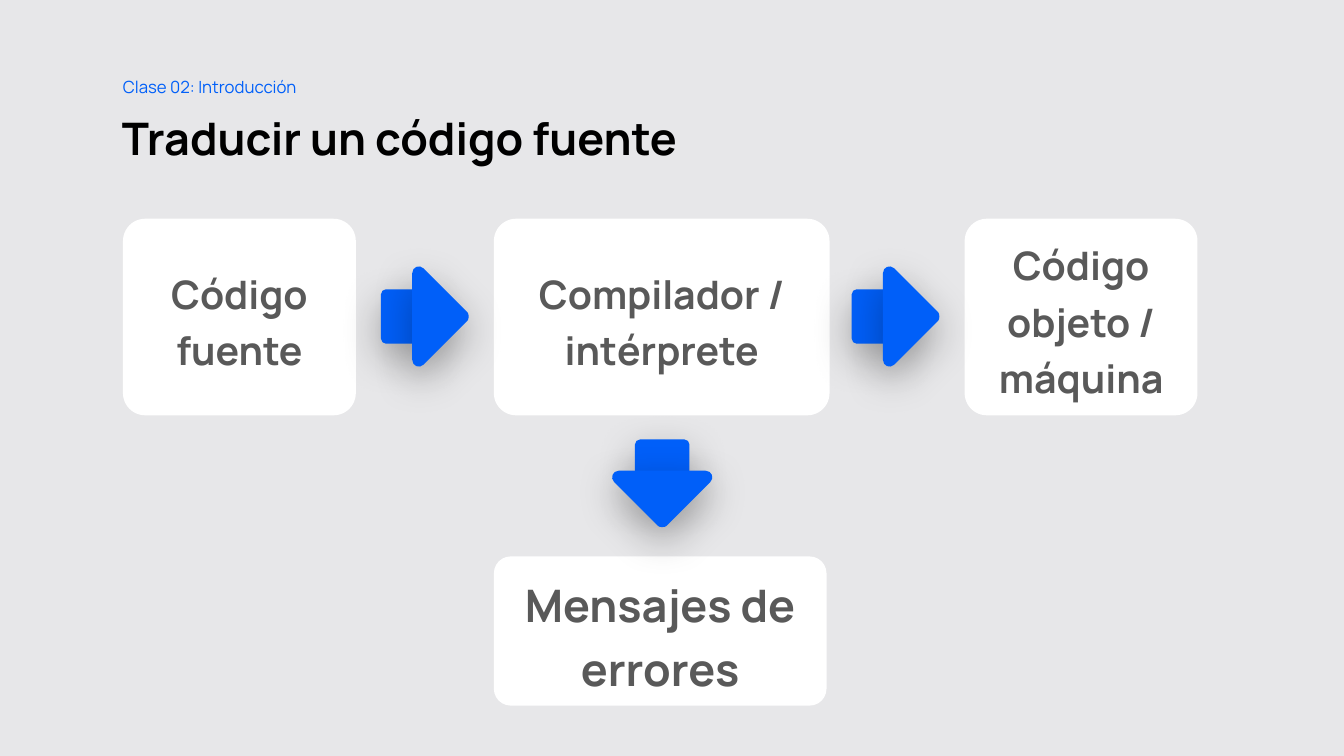
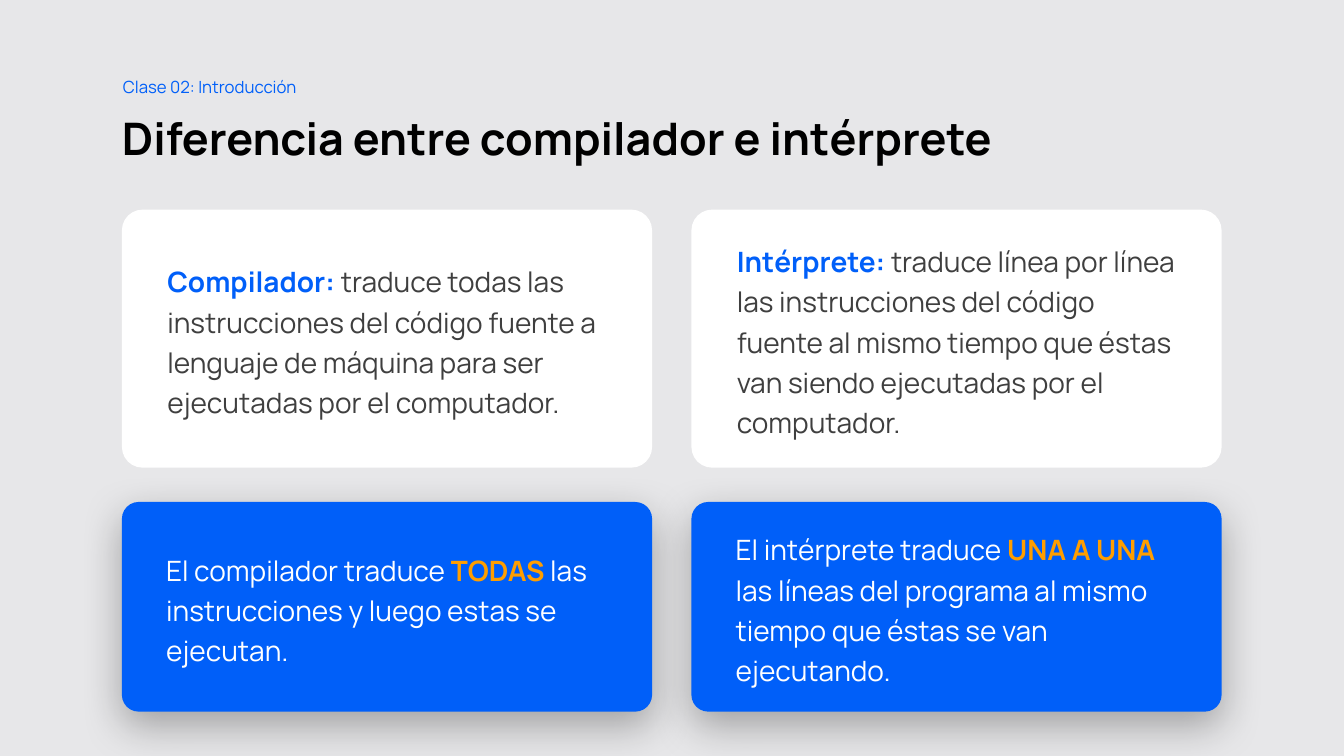
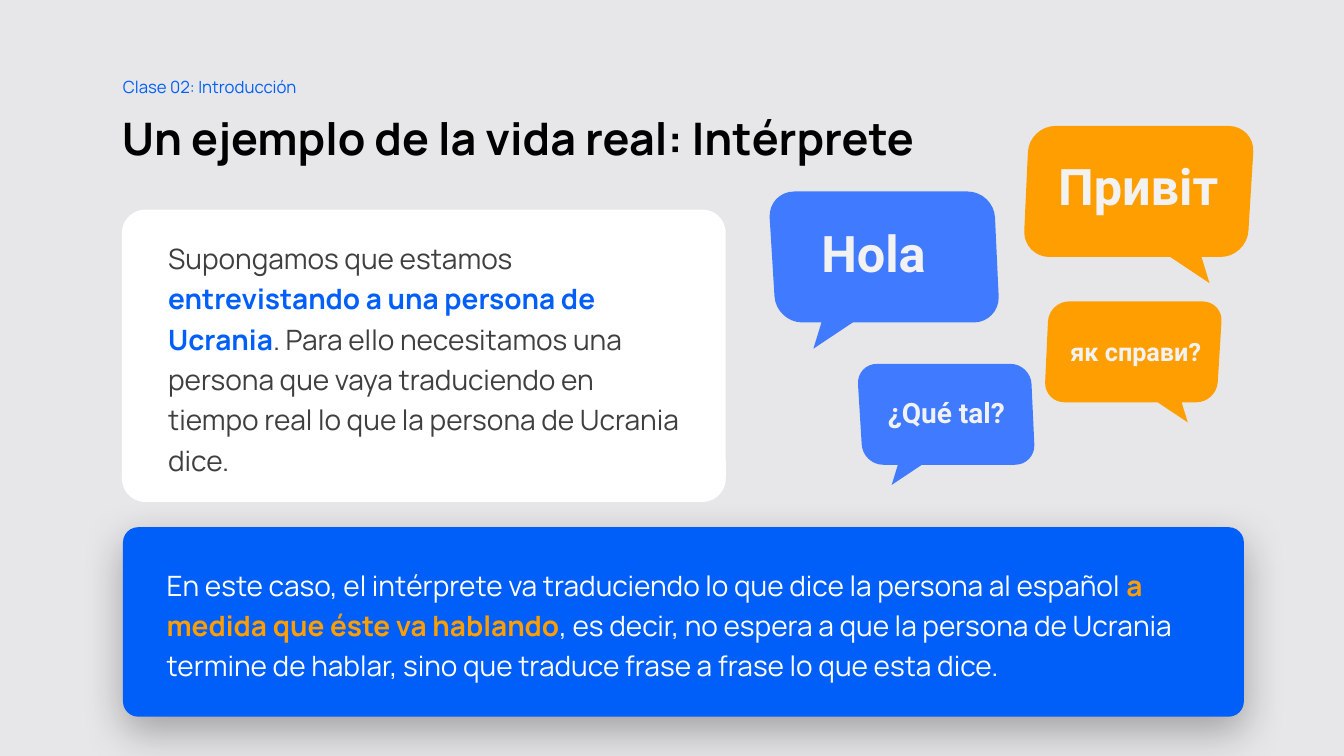
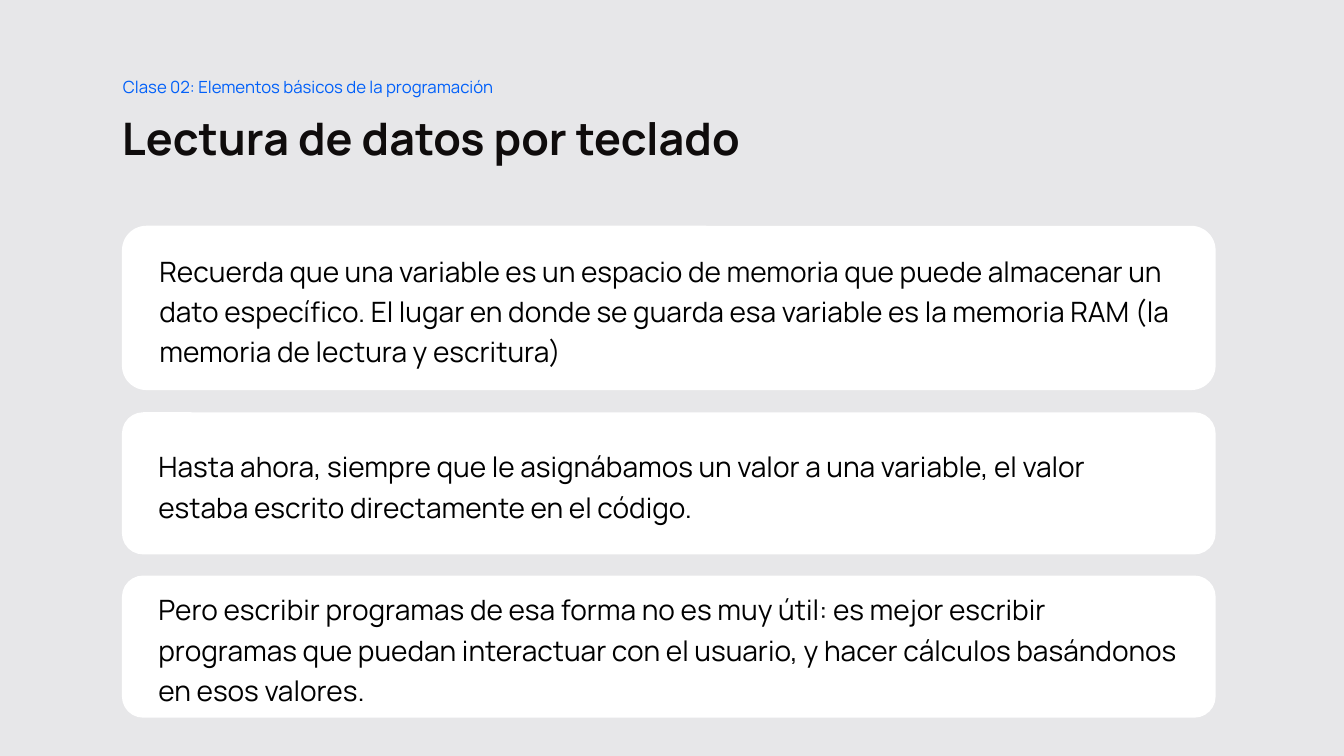
"""Build four class slides on compilers, interpreters and keyboard input."""
from dataclasses import dataclass
from math import hypot

from lxml import etree
from pptx import Presentation
from pptx import util as u
from pptx.dml.color import RGBColor
from pptx.enum import shapes, text
from pptx.oxml.ns import qn

PX = 9144
BLUE = RGBColor(0x00, 0x5F, 0xF9)
SKY = RGBColor(0x40, 0x7B, 0xFF)
AMBER = RGBColor(0xFF, 0x9E, 0x00)
WHITE = RGBColor(0xFF, 0xFF, 0xFF)
PALE = RGBColor(0xF2, 0xF2, 0xF2)
PAGE = RGBColor(0xE7, 0xE7, 0xE9)
BLACK = RGBColor(0x00, 0x00, 0x00)
COAL = RGBColor(0x0F, 0x0C, 0x0C)
DARK = RGBColor(0x3F, 0x3F, 0x3F)
GRAY = RGBColor(0x59, 0x59, 0x59)
SANS = "Manrope"
CHAT = "Roboto"

Box = tuple[int, int, int, int]
Node = tuple[float, float, float]


@dataclass(frozen=True)
class Run:
    words: str
    ink: RGBColor
    bold: bool = False


@dataclass(frozen=True)
class Card:
    box: Box
    runs: tuple[Run, ...]
    size: int = 20
    fill: RGBColor = WHITE
    curve: float = 0.08
    pads: tuple[int, int] = (39, 35)
    mid: bool = False


@dataclass(frozen=True)
class Arrow:
    x: int
    y: int
    down: bool = False


@dataclass(frozen=True)
class Bubble:
    left: int
    top: int
    scale: float
    fill: RGBColor
    flip: bool
    box: Box
    words: str
    size: int


@dataclass(frozen=True)
class Page:
    title: str
    cards: tuple[Card, ...]
    tag: str = "Clase 02: Introducción"
    wide: int = 197
    ink: RGBColor = BLACK
    arrows: tuple[Arrow, ...] = ()
    bubbles: tuple[Bubble, ...] = ()


STEM: tuple[Node, ...] = ((0, -27, 5), (46, -27, 5), (46, 27, 5), (0, 27, 5))
HEAD: tuple[Node, ...] = ((31, -59, 16), (90, 0, 6), (31, 59, 16))
SPEECH: tuple[Node, ...] = (
    (6, 0, 26), (230, 0, 26), (222, 130, 26), (177, 130, 0),
    (185, 156, 0), (146, 130, 0), (0, 130, 26),
)
SPAN = 230
ROUND = 0.55
BLUNT = 0.38


def step(box: Box, words: str, size: int = 28) -> Card:
    """Make a centred card of the flow chart."""
    return Card(box, (Run(words, GRAY, True),), size, curve=0.113, pads=(0, 0), mid=True)


def note(top: int, high: int, words: str) -> Card:
    """Make a full-width white card."""
    return Card((121, top, 1085, high), (Run(words, BLACK),), curve=0.149, pads=(30, 30))


def define(left: int, term: str, words: str, pad: int) -> Card:
    """Make a white card that opens with a blue term."""
    return Card((left, 208, 526, 256), (Run(term, BLUE, True), Run(words, DARK)), pads=(39, pad))


def stress(box: Box, start: str, key: str, rest: str, pad: int = 40) -> Card:
    """Make a blue card with an amber key phrase."""
    runs = (Run(start, WHITE), Run(key, AMBER, True), Run(rest, WHITE))
    return Card(box, runs, fill=BLUE, pads=(39, pad))


PAGES = (
    Page(
        "Traducir un código fuente",
        (
            step((122, 217, 231, 195), "Código fuente"),
            step((490, 217, 333, 195), "Compilador / intérprete"),
            step((957, 217, 231, 195), "Código objeto / máquina"),
            step((490, 552, 330, 148), "Mensajes de errores", 32),
        ),
        arrows=(Arrow(378, 314), Arrow(845, 314), Arrow(657, 436, True)),
    ),
    Page(
        "Diferencia entre compilador e intérprete",
        (
            define(121, "Compilador: ", "traduce todas las instrucciones del código fuente a "
                   "lenguaje de máquina para ser ejecutadas por el computador.", 35),
            stress((121, 498, 526, 208), "El compilador traduce ", "TODAS",
                   " las instrucciones y luego estas se ejecutan."),
            define(686, "Intérprete: ", "traduce línea por línea las instrucciones del código "
                   "fuente al mismo tiempo que éstas van siendo ejecutadas por el computador.", 31),
            stress((686, 498, 526, 208), "El intérprete traduce ", "UNA A UNA ",
                   "las líneas del programa al mismo tiempo que éstas se van ejecutando."),
        ),
    ),
    Page(
        "Un ejemplo de la vida real: Intérprete",
        (
            Card((121, 208, 599, 290), (
                Run("Supongamos que estamos ", DARK),
                Run("entrevistando a una persona de Ucrania", BLUE, True),
                Run(". Para ello necesitamos una persona que vaya traduciendo en tiempo real "
                    "lo que la persona de Ucrania dice.", DARK),
            )),
            stress((122, 523, 1112, 188),
                   "En este caso, el intérprete va traduciendo lo que dice la persona al español ",
                   "a medida que éste va hablando",
                   ", es decir, no espera a que la persona de Ucrania termine de hablar, "
                   "sino que traduce frase a frase lo que esta dice.", 39),
        ),
        bubbles=(
            Bubble(1015, 125, 1, AMBER, False, (1040, 149, 187, 71), "Привіт", 36),
            Bubble(762, 190, 1, SKY, True, (805, 215, 187, 71), "Hola", 36),
            Bubble(1036, 299, 0.77, AMBER, False, (1052, 329, 151, 40), "як справи?", 18),
            Bubble(850, 361, 0.77, SKY, True, (871, 387, 143, 44), "¿Qué tal?", 20),
        ),
    ),
    Page(
        "Lectura de datos por teclado",
        (
            note(224, 163, "Recuerda que una variable es un espacio de memoria que puede almacenar "
                 "un dato específico. El lugar en donde se guarda esa variable es la memoria "
                 "RAM (la memoria de lectura y escritura)"),
            note(409, 141, "Hasta ahora, siempre que le asignábamos un valor a una variable, "
                 "el valor estaba escrito directamente en el código."),
            note(571, 141, "Pero escribir programas de esa forma no es muy útil: es mejor escribir "
                 "programas que puedan interactuar con el usuario, y hacer cálculos basándonos "
                 "en esos valores."),
        ),
        tag="Clase 02: Elementos básicos de la programación",
        wide=421,
        ink=COAL,
    ),
)


def scale(box: Box) -> list[u.Emu]:
    """Turn px into EMU."""
    return [u.Emu(n * PX) for n in box]


def write(shape, runs: tuple[Run, ...], size: int, pads: Box, font: str = SANS,
          space: float = 1.2, centre: bool = False, mid: bool = False) -> None:
    """Fill a shape with one paragraph, run by run."""
    frame = shape.text_frame
    frame.word_wrap = True
    frame.margin_left, frame.margin_top, frame.margin_right, frame.margin_bottom = scale(pads)
    frame.vertical_anchor = text.MSO_ANCHOR.MIDDLE if centre else text.MSO_ANCHOR.TOP
    if not centre:
        frame.auto_size = text.MSO_AUTO_SIZE.SHAPE_TO_FIT_TEXT
    para = frame.paragraphs[0]
    para.alignment = text.PP_ALIGN.CENTER if mid else text.PP_ALIGN.LEFT
    para.line_spacing = space
    for part in runs:
        run = para.add_run()
        run.text = part.words
        run.font.name = font
        run.font.size = u.Pt(size)
        run.font.bold = part.bold
        run.font.color.rgb = part.ink


def paint(shape, fill: RGBColor, shade: bool = False) -> None:
    """Set a plain fill, no line, and a soft shadow if asked."""
    shape.fill.solid()
    shape.fill.fore_color.rgb = fill
    shape.line.fill.background()
    shape.shadow.inherit = False
    if shade:
        effect = shape._element.spPr.find(qn("a:effectLst"))
        cast = etree.SubElement(effect, qn("a:outerShdw"), blurRad=str(u.Pt(30)),
                                dist=str(u.Pt(10)), dir="5400000", algn="t", rotWithShape="0")
        tone = etree.SubElement(cast, qn("a:srgbClr"), val=str(BLACK))
        etree.SubElement(tone, qn("a:alpha"), val="29000")


def trace(group, nodes: list[Node], fill: RGBColor, pull: float = ROUND,
          shade: bool = False) -> None:
    """Draw an outline in a group, with a curve at each cut corner."""
    points, bends = [], []
    for i, (x, y, cut) in enumerate(nodes):
        if not cut:
            points.append((x * PX, y * PX))
            continue
        bends.append(len(points))
        last, after = nodes[i - 1], nodes[(i + 1) % len(nodes)]
        for (px, py, _), keep in ((last, 1), (last, 1 - pull), (after, 1 - pull), (after, 1)):
            part = keep * cut / hypot(px - x, py - y)
            points.append(((x + (px - x) * part) * PX, (y + (py - y) * part) * PX))
    pen = group.shapes.build_freeform(*points[0], scale=1.0)
    pen.add_line_segments(points[1:], close=True)
    shape = pen.convert_to_shape()
    lines = list(shape._element.iter(qn("a:lnTo")))
    for start in bends:
        trio = lines[start:start + 3]
        curve = etree.Element(qn("a:cubicBezTo"))
        trio[0].addprevious(curve)
        for line in trio:
            curve.append(line[0])
            line.getparent().remove(line)
    paint(shape, fill, shade)


def draw_card(slide, card: Card) -> None:
    """Draw a rounded card with its text."""
    shape = slide.shapes.add_shape(shapes.MSO_SHAPE.ROUNDED_RECTANGLE, *scale(card.box))
    shape.adjustments[0] = card.curve
    paint(shape, card.fill, card.fill == BLUE)
    left, right = card.pads
    write(shape, card.runs, card.size, (left, 0, right, 0), centre=True, mid=card.mid)


def draw_arrow(slide, arrow: Arrow) -> None:
    """Draw a two-part arrow from the middle of its tail."""
    group = slide.shapes.add_group_shape()
    for part, pull in ((STEM, ROUND), (HEAD, BLUNT)):
        turned = [(b, a, cut) if arrow.down else (a, b, cut) for a, b, cut in part]
        trace(group, [(arrow.x + x, arrow.y + y, cut) for x, y, cut in turned], BLUE, pull, True)


def draw_bubble(slide, item: Bubble) -> None:
    """Draw a speech bubble with its words."""
    group = slide.shapes.add_group_shape()
    nodes = [
        (item.left + item.scale * (SPAN - x if item.flip else x),
         item.top + item.scale * y, item.scale * cut)
        for x, y, cut in SPEECH
    ]
    trace(group, nodes, item.fill)
    label = group.shapes.add_textbox(*scale(item.box))
    write(label, (Run(item.words, PALE, True),), item.size, (10, 5, 10, 5), CHAT, 1.0)


def draw_page(slide, page: Page) -> None:
    """Draw the heading and all parts of a slide."""
    tag = slide.shapes.add_textbox(*scale((122, 67, page.wide, 33)))
    write(tag, (Run(page.tag, BLUE),), 12, (0, 5, 10, 5))
    title = slide.shapes.add_textbox(*scale((121, 100, 1085, 75)))
    write(title, (Run(page.title, page.ink, True),), 32, (0, 10, 10, 5), space=0.9, centre=True)
    for card in page.cards:
        draw_card(slide, card)
    for arrow in page.arrows:
        draw_arrow(slide, arrow)
    for item in page.bubbles:
        draw_bubble(slide, item)


def main() -> None:
    """Build and save the deck."""
    deck = Presentation()
    deck.slide_width, deck.slide_height = u.Emu(12192000), u.Emu(6858000)
    back = deck.slide_master.background.fill
    back.solid()
    back.fore_color.rgb = PAGE
    for page in PAGES:
        draw_page(deck.slides.add_slide(deck.slide_layouts[6]), page)
    deck.save("out.pptx")


if __name__ == "__main__":
    main()
